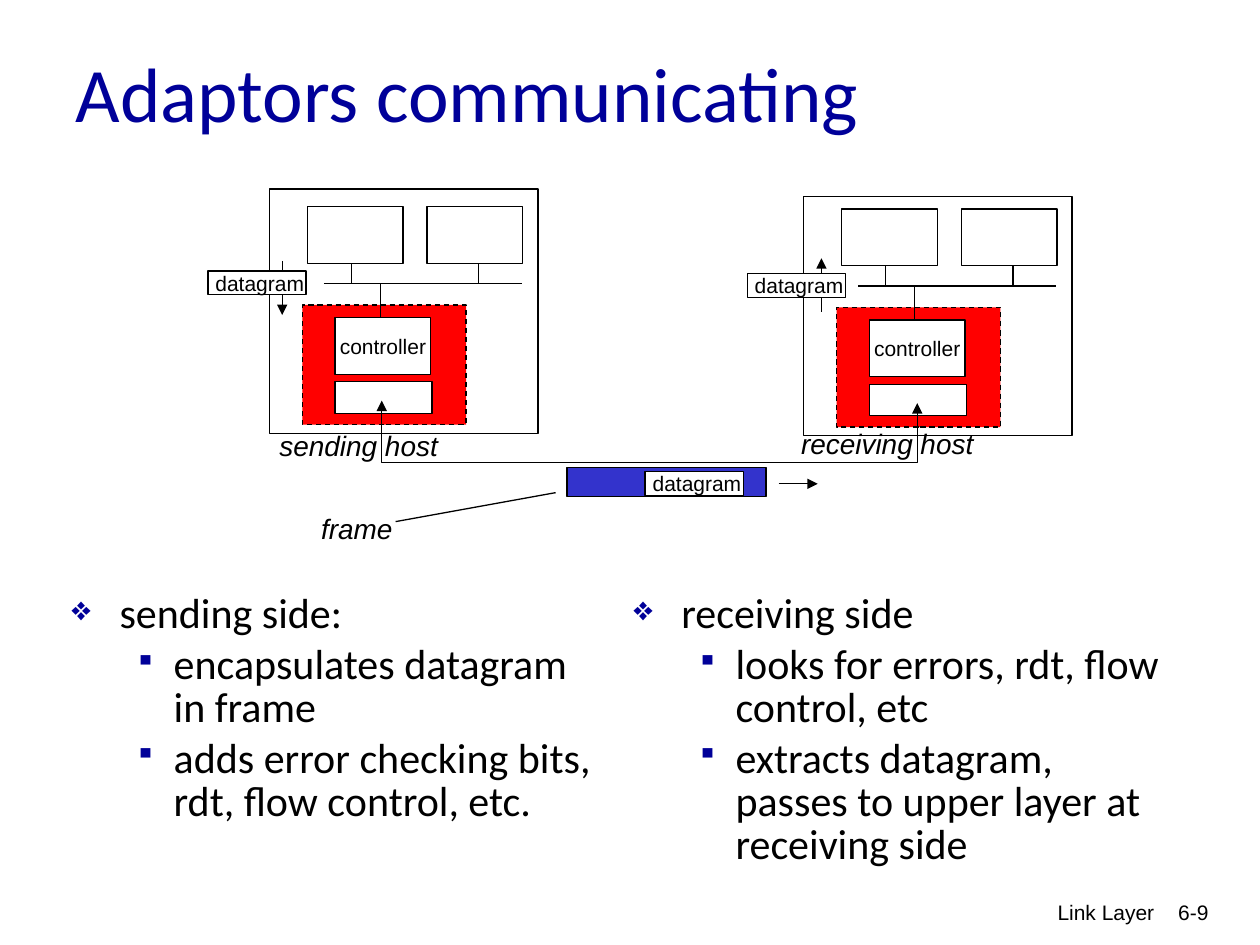
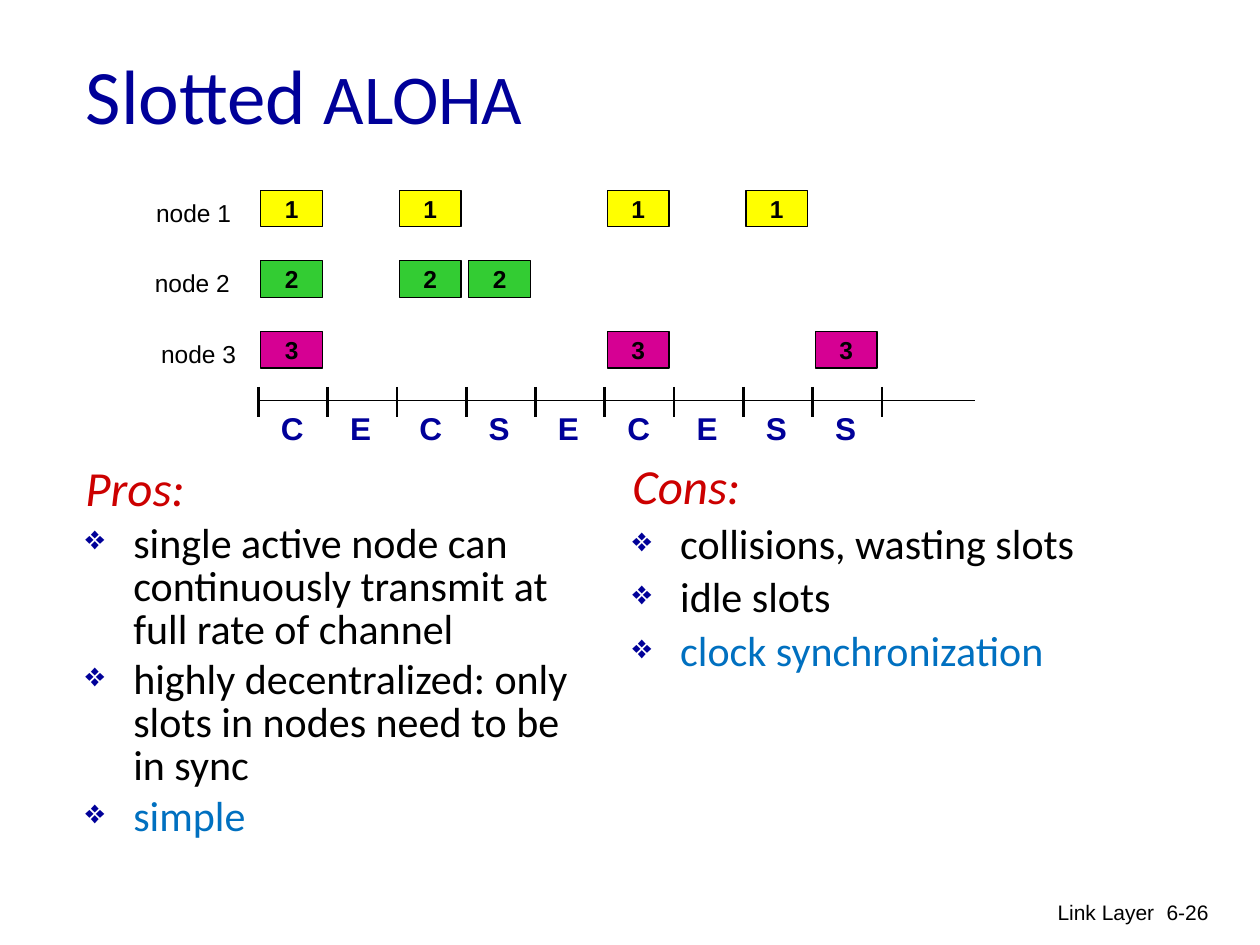
from lxml.etree import SubElement
from pptx import Presentation
from pptx.dml.color import RGBColor
from pptx.enum.dml import MSO_LINE
from pptx.enum.shapes import MSO_CONNECTOR, MSO_SHAPE
from pptx.enum.text import MSO_ANCHOR as Anchor, MSO_AUTO_SIZE as AutoSize, PP_ALIGN as Align
from pptx.oxml.ns import qn
from pptx.util import Inches, Pt

COLORS = {
    "ink": "000000", "paper": "FFFFFF", "navy": "000099", "heading": "CC0000",
    "accent": "0070C0", "adapter": "FF0000", "frame": "3333CC",
    "node 1": "FFFF00", "node 2": "33CC33", "node 3": "D60093",
}
BULLETS = {"❖": (0.38, 0.38, 80), "▪": (0.81, 0.31, 70)}


def rgb(name):
    """Return the named palette colour."""
    return RGBColor.from_string(COLORS[name])


def write(frame, text, size=12, font="Arial", color="ink", bold=False, italic=False,
          align=Align.LEFT, spacing=None, bullet=None, join=False):
    """Write formatted text as a paragraph, or join it to the last one."""
    para = frame.paragraphs[-1]
    if para.runs and not join:
        para = frame.add_paragraph()
    para.alignment = align
    if spacing:
        para.line_spacing = spacing
        para.space_before = Pt(4.6)
    if bullet:
        add_bullet(para, bullet)
    span = para.add_run()
    span.text = text
    span.font.size, span.font.name = Pt(size), font
    span.font.bold, span.font.italic = bold, italic
    span.font.color.rgb = rgb(color)


def add_bullet(para, mark):
    """Give a paragraph a hanging navy bullet."""
    margin, hang, percent = BULLETS[mark]
    props = para._p.get_or_add_pPr()
    props.set("marL", str(Inches(margin)))
    props.set("indent", str(-Inches(hang)))
    SubElement(SubElement(props, qn("a:buClr")), qn("a:srgbClr"), val=COLORS["navy"])
    SubElement(props, qn("a:buSzPct"), val=str(percent * 1000))
    SubElement(props, qn("a:buChar"), char=mark)


def add_text(page, left, top, width, height, text=None, wrap=False, **style):
    """Add a text box and return its text frame."""
    box = page.shapes.add_textbox(Inches(left), Inches(top), Inches(width), Inches(height))
    frame = box.text_frame
    frame.word_wrap = wrap
    if text:
        write(frame, text, **style)
    return frame


def style_line(shape, width=0.75, head=False, tail=False):
    """Draw an ink line with optional arrowheads."""
    shape.line.color.rgb = rgb("ink")
    shape.line.width = Pt(width)
    for end, wanted in (("a:headEnd", head), ("a:tailEnd", tail)):
        if wanted:
            SubElement(shape.get_or_add_ln(), qn(end), type="triangle")


def add_line(page, x1, y1, x2, y2, **style):
    """Add a straight connector."""
    line = page.shapes.add_connector(
        MSO_CONNECTOR.STRAIGHT, Inches(x1), Inches(y1), Inches(x2), Inches(y2))
    style_line(line, **style)
    SubElement(line._element.spPr, qn("a:effectLst"))


def add_box(page, left, top, width, height, fill="paper", text=None, inset=0, **style):
    """Add an outlined rectangle, with text in its middle."""
    box = page.shapes.add_shape(
        MSO_SHAPE.RECTANGLE, Inches(left), Inches(top), Inches(width), Inches(height))
    box.shadow.inherit = False
    box.fill.solid()
    box.fill.fore_color.rgb = rgb(fill)
    style_line(box)
    if text:
        frame = box.text_frame
        frame.word_wrap = False
        frame.vertical_anchor = Anchor.MIDDLE
        frame.margin_left = Inches(inset)
        frame.margin_right = frame.margin_top = frame.margin_bottom = 0
        write(frame, text, **style)
    return box


def add_page(deck, number, left, top, width, *title):
    """Add a titled page with its footer; title parts are (text, size)."""
    page = deck.slides.add_slide(deck.slide_layouts[5])
    holder = page.shapes.title
    holder.left, holder.top = Inches(left), Inches(top)
    holder.width, holder.height = Inches(width), Inches(1.25)
    frame = holder.text_frame
    frame.vertical_anchor = Anchor.MIDDLE
    frame.auto_size = AutoSize.NONE
    for text, size in title:
        write(frame, text, size, "Calibri", "navy", join=True)
    for text, x, span in (("Link Layer", 6.09, 3.17), (number, 8.95, 0.74)):
        add_text(page, x, 7.09, span, 0.5, text, wrap=True, align=Align.RIGHT)
    return page


def add_list(page, left, top, width, height, items, heading=None, spacing=0.85):
    """Add a bulleted column; items are (bullet, text, colour)."""
    frame = add_text(page, left, top, width, height, wrap=True)
    if heading:
        write(frame, heading, 28, "Calibri", "heading", italic=True, spacing=spacing)
    for mark, text, color in items:
        write(frame, text, 24, "Calibri", color, spacing=spacing, bullet=mark)


def add_datagram(page, left, top):
    """Add a small datagram tag."""
    add_box(page, left, top, 0.78, 0.19, text="datagram", inset=0.06)


def add_host(page, left, top, gap, tag, label, label_left, label_top, upward):
    """Draw a host with its bus, adapter, datagram tag and caption."""
    add_box(page, left, top + gap, 2.13, 1.94 - gap)
    adapter = add_box(page, left + 0.26, top + 0.92, 1.3, 0.95, "adapter")
    adapter.line.dash_style = MSO_LINE.DASH
    add_box(page, left + 0.52, top + 1.53, 0.77, 0.25)
    add_box(page, left + 0.52, top + 1.02, 0.76, 0.45, text="controller", align=Align.CENTER)
    bus = top + 0.75
    add_line(page, left + 0.43, bus, left + 2, bus)
    add_line(page, left + 0.88, top + 1.02, left + 0.88, bus)
    for unit, stem in ((0.3, 0.65), (1.25, 1.66)):
        add_box(page, left + unit, top + 0.14, 0.76, 0.45)
        add_line(page, left + stem, bus, left + stem, top + 0.59)
    arrow, start = left + tag + 0.59, top + (0.53 if upward else 0.57)
    add_line(page, arrow, start, arrow, start + 0.43, head=upward, tail=not upward)
    add_datagram(page, left + tag, top + 0.65)
    add_text(page, left + label_left, top + label_top, 1.57, 0.37, label, size=16, italic=True)


def add_link(page, left, top, width, depth):
    """Draw the wire between both adapters and the frame that travels on it."""
    points = [(left, top + depth), (left + width, top + depth), (left + width, top + 0.02)]
    builder = page.shapes.build_freeform(Inches(left), Inches(top))
    builder.add_line_segments([(Inches(x), Inches(y)) for x, y in points], close=False)
    wire = builder.convert_to_shape()
    wire.shadow.inherit = False
    wire.fill.background()
    style_line(wire, head=True, tail=True)
    add_box(page, left + 1.47, top + 0.53, 1.58, 0.23, "frame")
    add_datagram(page, left + 2.09, top + 0.56)
    add_line(page, left + 3.15, top + 0.66, left + 3.46, top + 0.66, tail=True)
    add_text(page, left - 0.58, top + 0.83, 0.77, 0.37, "frame", size=16, italic=True)
    add_line(page, left + 0.11, top + 0.96, left + 1.38, top + 0.73)


def add_timeline(page, left, top, slot=0.55):
    """Draw node transmissions above a slotted time axis."""
    nodes = [(1.14, (0, 2, 5, 7)), (1.13, (0, 2, 3)), (1.18, (0, 5, 8))]
    for row, (label_left, used) in enumerate(nodes):
        name, y = f"node {row + 1}", top + 0.56 * row
        label = add_text(page, label_left, y + 0.01, 0.85, 0.33, name, size=14)
        label.margin_right = 0
        for index in used:
            add_box(page, left + 0.02 + slot * index, y, 0.49, 0.29, name, str(row + 1),
                    size=14, bold=True, align=Align.CENTER)
    axis = top + 1.67
    add_line(page, left, axis, left + 5.69, axis)
    outcomes = "CECSECESS"
    for index in range(len(outcomes) + 1):
        x = left + slot * index
        add_line(page, x, axis - 0.11, x, axis + 0.13, width=1.5)
    for index, outcome in enumerate(outcomes):
        add_text(page, left + 0.08 + slot * index, axis + 0.02, 0.38, 0.4, outcome,
                 size=18, color="navy", bold=True)


def build_adaptors(deck):
    """Build the page on communicating adaptors."""
    page = add_page(deck, "6-9", 0.5, 0.1, 8.5, ("Adaptors communicating", 44))
    add_list(page, 0.47, 4.67, 4.45, 2.12, [
        ("❖", "sending side:", "ink"),
        ("▪", "encapsulates datagram in frame", "ink"),
        ("▪", "adds error checking bits, rdt, flow control, etc.", "ink")])
    add_list(page, 4.93, 4.67, 4.47, 2.02, [
        ("❖", "receiving side", "ink"),
        ("▪", "looks for errors, rdt, flow control, etc", "ink"),
        ("▪", "extracts datagram, passes to upper layer at receiving side", "ink")])
    add_host(page, 2.14, 1.5, 0, -0.49, "sending host", -0.02, 1.85, False)
    add_host(page, 6.38, 1.52, 0.04, -0.45, "receiving host", -0.12, 1.82, True)
    add_link(page, 3.03, 3.18, 4.25, 0.49)


def build_aloha(deck):
    """Build the page on slotted ALOHA."""
    page = add_page(deck, "6-26", 0.58, 0.12, 5.42, ("Slotted ", 44), ("ALOHA", 40))
    add_list(page, 0.58, 3.65, 4.17, 3.5, [
        ("❖", "single active node can continuously transmit at full rate of channel", "ink"),
        ("❖", "highly decentralized: only slots in nodes need to be in sync", "ink"),
        ("❖", "simple", "accent")], "Pros:")
    add_list(page, 4.92, 3.62, 4.17, 3.5, [
        ("❖", "collisions, wasting slots", "ink"),
        ("❖", "idle slots", "ink"),
        ("❖", "clock synchronization", "accent")], "Cons:", 0.9)
    add_timeline(page, 2.05, 1.51)


def main():
    """Build and save the deck."""
    deck = Presentation()
    deck.slide_width, deck.slide_height = Inches(10), Inches(7.5)
    build_adaptors(deck)
    build_aloha(deck)
    deck.save("out.pptx")


if __name__ == "__main__":
    main()
